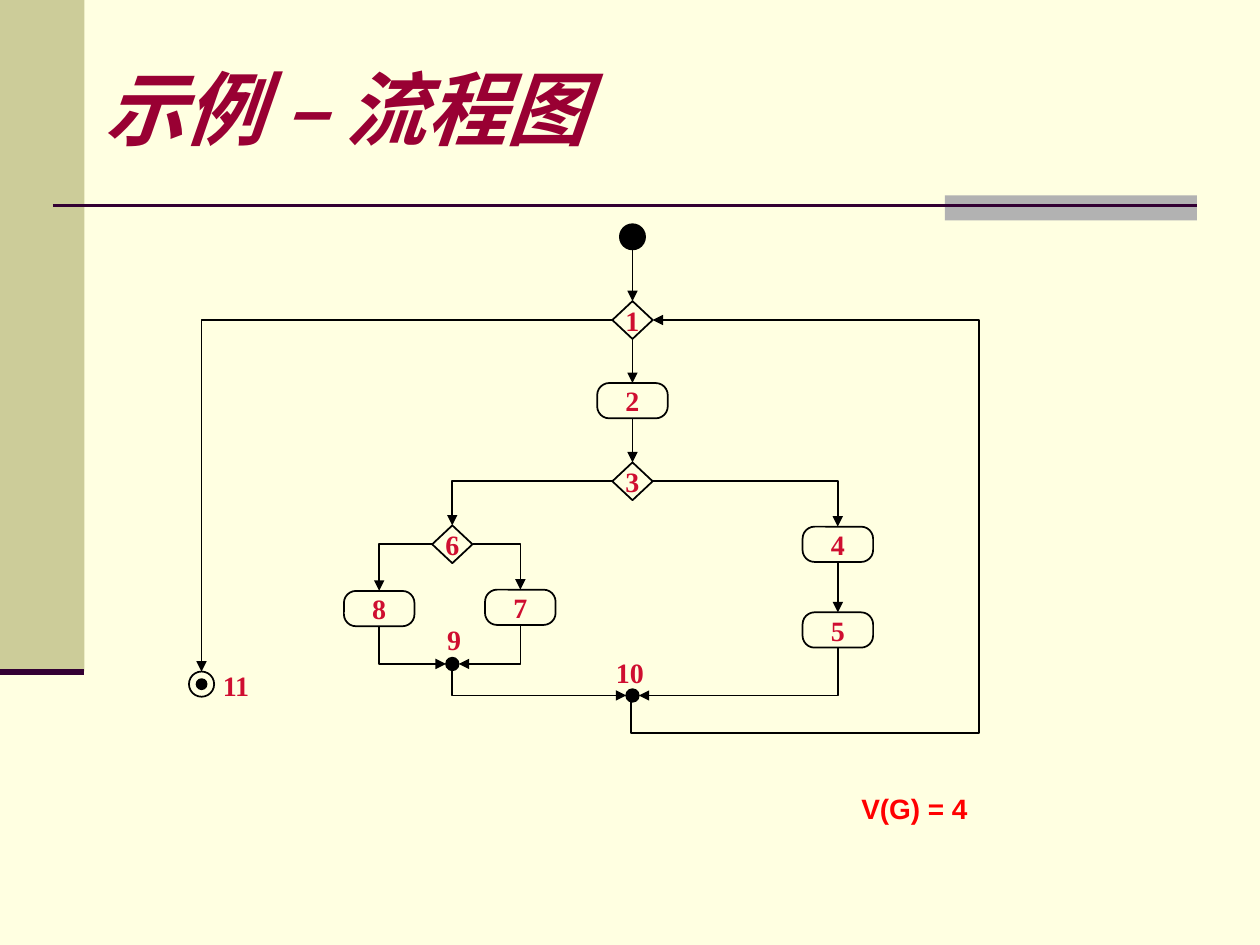
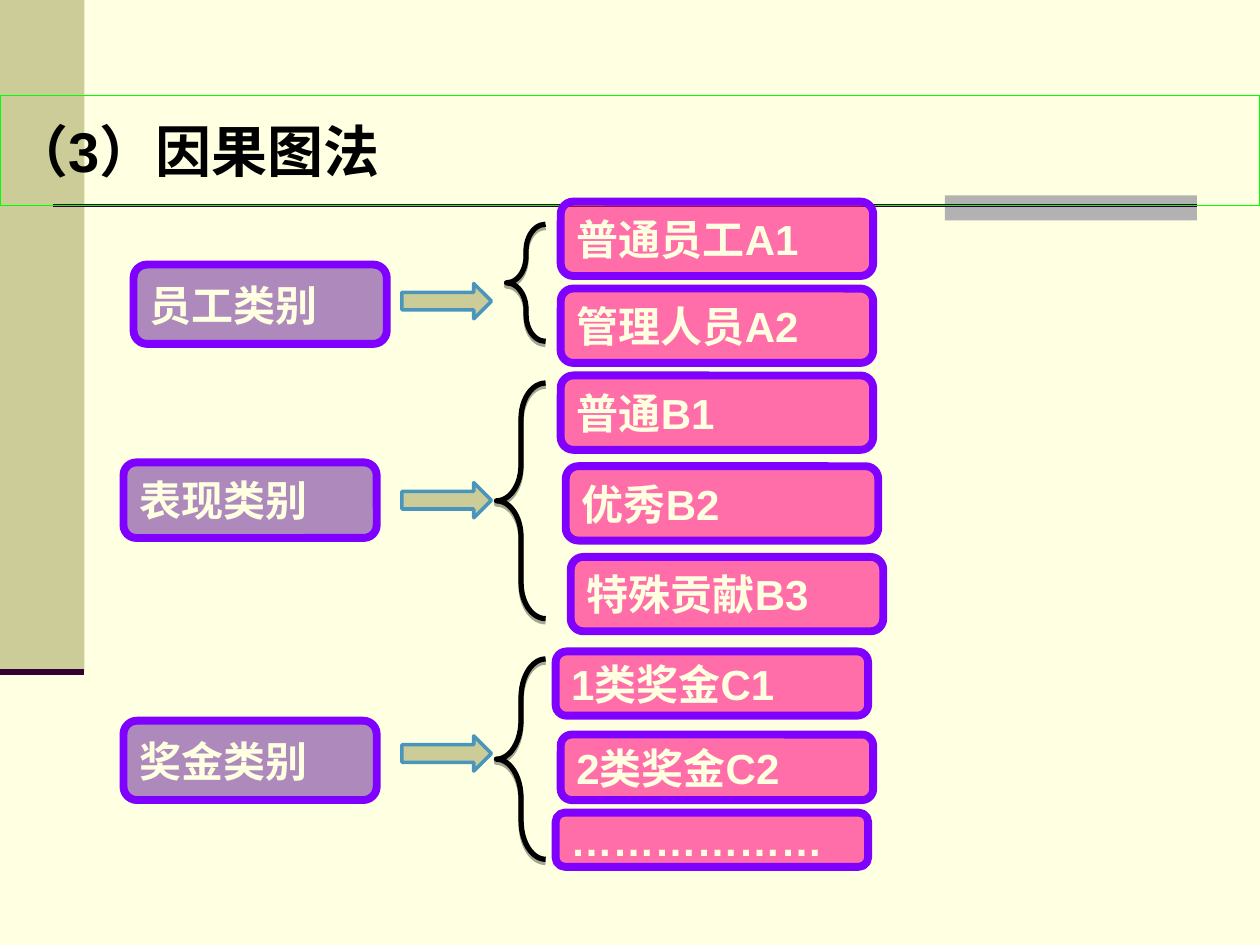
from dataclasses import dataclass
from lxml import etree
from pptx import Presentation
from pptx import util as u
from pptx.dml import color as col
from pptx.enum import shapes as sh, text as tx
from pptx.oxml import ns

INK, CREAM, SAND, PLUM = "000000", "FFFFE1", "CCCC99", "330033"
RED, VIOLET = "CF0E30", "8000FF"
SERIF, SANS = "Times New Roman", "Arial"
KIND = sh.MSO_SHAPE
LEFT, MID = tx.PP_ALIGN.LEFT, tx.PP_ALIGN.CENTER
TOP, WEST, FOOT, EAST = range(4)


@dataclass
class Node:
    key: str
    kind: int
    x: float
    y: float
    wide: float
    high: float
    fill: str | None = None
    label: str = ""


@dataclass
class Link:
    start: str
    out: int
    end: str
    into: int
    tip: str = "tailEnd"
    form: str = "bentConnector2"


@dataclass
class Box:
    words: str
    x: float
    y: float
    high: float


@dataclass
class Group:
    head: Box
    arrow: float
    brace: tuple[float, float, float, float]
    bend: float
    cards: list[Box]


def rgb(code: str) -> col.RGBColor:
    return col.RGBColor.from_string(code)


def add(parent, tag: str, **attrs):
    return etree.SubElement(parent, ns.qn(tag), attrs)


def write(shape, words: str, *, size: float = 16, font: str = SERIF,
          color: str = RED, align=LEFT, anchor=tx.MSO_ANCHOR.TOP,
          wrap: bool = False, inset: tuple = (0.1, 0.05),
          italic: bool = False) -> None:
    frame = shape.text_frame
    frame.auto_size = tx.MSO_AUTO_SIZE.NONE
    frame.word_wrap = wrap
    frame.vertical_anchor = anchor
    frame.margin_left = frame.margin_right = u.Inches(inset[0])
    frame.margin_top = frame.margin_bottom = u.Inches(inset[1])
    para = frame.paragraphs[0]
    para.alignment = align
    run = para.add_run()
    run.text = words
    run.font.name, run.font.size = font, u.Pt(size)
    run.font.bold, run.font.italic = True, italic
    run.font.color.rgb = rgb(color)


def place(shape, x: float, y: float, wide: float, high: float) -> None:
    shape.left, shape.top = u.Inches(x), u.Inches(y)
    shape.width, shape.height = u.Inches(wide), u.Inches(high)


def draw(slide, kind, x: float, y: float, wide: float, high: float, *,
         fill: str | None = None, alpha: int = 100, line: str | None = None,
         weight: float = 1, adj: tuple = ()):
    shape = slide.shapes.add_shape(kind, 0, 0, 0, 0)
    place(shape, x, y, wide, high)
    shape.shadow.inherit = False
    for i, value in enumerate(adj):
        shape.adjustments[i] = value
    if fill:
        shape.fill.solid()
        shape.fill.fore_color.rgb = rgb(fill)
        if alpha < 100:
            tint = shape._element.spPr.find(".//" + ns.qn("a:srgbClr"))
            add(tint, "a:alpha", val=str(alpha * 1000))
    else:
        shape.fill.background()
    if line:
        shape.line.color.rgb = rgb(line)
        shape.line.width = u.Pt(weight)
    else:
        shape.line.fill.background()
    return shape


def wire(slide, kind, ends: tuple = (0, 0, 0, 0), *, color: str = INK,
         weight: float = 1, tip: str = ""):
    line = slide.shapes.add_connector(kind, *map(u.Inches, ends))
    line.line.color.rgb = rgb(color)
    line.line.width = u.Pt(weight)
    if tip:
        add(line._element.spPr.find(ns.qn("a:ln")), "a:" + tip, type="triangle")
    add(line._element.spPr, "a:effectLst")
    return line


def join(slide, link: Link, nodes: dict):
    straight = link.form == "line"
    kind = sh.MSO_CONNECTOR.STRAIGHT if straight else sh.MSO_CONNECTOR.ELBOW
    line = wire(slide, kind, tip=link.tip)
    line.begin_connect(nodes[link.start], link.out)
    line.end_connect(nodes[link.end], link.into)
    line._element.spPr.find(ns.qn("a:prstGeom")).set("prst", link.form)
    for tag, key, side in (("a:stCxn", link.start, link.out),
                           ("a:endCxn", link.end, link.into)):
        if nodes[key].auto_shape_type == KIND.OVAL:
            line._element.find(".//" + ns.qn(tag)).set("idx", str(side * 2))
    return line


def loop(slide, nodes: dict) -> None:
    line = join(slide, Link("10", FOOT, "1", EAST, form="bentConnector4"), nodes)
    place(line, 3.58, 3.97, 3.03, 0.17)
    frame = line._element.spPr.find(ns.qn("a:xfrm"))
    for name, value in (("rot", "5400000"), ("flipH", "1"), ("flipV", "1")):
        frame.set(name, value)
    guides = line._element.spPr.find(ns.qn("a:prstGeom")).find(ns.qn("a:avLst"))
    for name, value in (("adj1", -8200), ("adj2", 1621900)):
        add(guides, "a:gd", name=name, fmla=f"val {value}")


def page(deck):
    slide = deck.slides.add_slide(deck.slide_layouts[5])
    draw(slide, KIND.RECTANGLE, 0, 0, 0.67, 5.33, fill=SAND)
    draw(slide, KIND.RECTANGLE, 7.5, 1.55, 2, 0.2, fill="B2B2B2")
    straight = sh.MSO_CONNECTOR.STRAIGHT
    wire(slide, straight, (0.42, 1.63, 9.5, 1.63), color=PLUM, weight=1.5)
    wire(slide, straight, (0, 5.33, 0.67, 5.33), color=PLUM, weight=3.5)
    slide.shapes._spTree.append(slide.shapes.title._element)
    return slide


def gem(key: str, x: float, y: float) -> Node:
    return Node(key, KIND.DIAMOND, x, y, 0.32, 0.3, CREAM, key)


def step(key: str, x: float, y: float) -> Node:
    return Node(key, KIND.ROUNDED_RECTANGLE, x, y, 0.56, 0.28, None, key)


def dot(key: str, x: float, y: float, size: float, fill: str = INK) -> Node:
    return Node(key, KIND.OVAL, x, y, size, size, fill)


NODES = [
    dot("start", 5.02, 1.88, 0.2), gem("1", 5.02, 2.54), step("2", 5.02, 3.18),
    gem("3", 5.02, 3.82), step("4", 6.65, 4.32), step("5", 6.65, 5),
    gem("6", 3.59, 4.32), step("7", 4.13, 4.82), step("8", 3.01, 4.83),
    dot("9", 3.59, 5.27, 0.1), dot("10", 5.02, 5.52, 0.1),
    dot("11", 1.6, 5.43, 0.2, CREAM), dot("core", 1.6, 5.43, 0.08),
]
LINKS = [
    Link("start", FOOT, "1", TOP, form="line"),
    Link("1", FOOT, "2", TOP, form="line"),
    Link("2", FOOT, "3", TOP, form="line"),
    Link("4", FOOT, "5", TOP, form="line"),
    Link("3", WEST, "6", TOP), Link("3", EAST, "4", TOP),
    Link("6", WEST, "8", TOP), Link("6", EAST, "7", TOP),
    Link("1", WEST, "11", TOP),
    Link("9", WEST, "8", FOOT, "headEnd"),
    Link("9", EAST, "7", FOOT, "headEnd"),
    Link("10", WEST, "9", FOOT, "headEnd"),
    Link("10", EAST, "5", FOOT, "headEnd"),
]
TAGS = [("9", 3.45, 4.89, 0.31), ("10", 4.79, 5.15, 0.42),
        ("11", 1.67, 5.26, 0.42)]
GROUPS = [
    Group(Box("员工类别", 1.06, 2.1, 0.63), 2.25, (4.02, 1.78, 0.31, 0.93), 0.68,
          [Box("普通员工A1", 4.45, 1.6, 0.59), Box("管理人员A2", 4.45, 2.29, 0.59)]),
    Group(Box("表现类别", 0.98, 3.67, 0.6), 3.83, (3.94, 3.04, 0.39, 1.87), 0.73,
          [Box("普通B1", 4.45, 2.98, 0.59), Box("优秀B2", 4.49, 3.7, 0.59),
           Box("特殊贡献B3", 4.53, 4.42, 0.59)]),
    Group(Box("奖金类别", 0.98, 5.72, 0.63), 5.84, (3.94, 5.23, 0.39, 1.59), 0.79,
          [Box("1类奖金C1", 4.41, 5.17, 0.51), Box("2类奖金C2", 4.45, 5.83, 0.52),
           Box("………………", 4.41, 6.45, 0.43)]),
]


def flow(deck) -> None:
    slide = page(deck)
    title = slide.shapes.title
    place(title, 0.83, 0.56, 6.58, 0.58)
    write(title, "示例 – 流程图", size=46, color="990033", wrap=True, italic=True,
          anchor=tx.MSO_ANCHOR.MIDDLE, inset=(0, 0))
    nodes = {}
    for n in NODES:
        adj = (0.34,) if n.kind == KIND.ROUNDED_RECTANGLE else ()
        shape = draw(slide, n.kind, n.x - n.wide / 2, n.y - n.high / 2,
                     n.wide, n.high, fill=n.fill, line=INK, adj=adj)
        if n.label:
            write(shape, n.label, align=MID, anchor=tx.MSO_ANCHOR.MIDDLE)
        nodes[n.key] = shape
    for link in LINKS:
        join(slide, link, nodes)
    loop(slide, nodes)
    for words, x, y, wide in TAGS:
        label = slide.shapes.add_textbox(*map(u.Inches, (x, y, wide, 0.36)))
        write(label, words)
    note = slide.shapes.add_textbox(*map(u.Inches, (6.25, 6.25, 1.5, 0.32)))
    write(note, "V(G) = 4", font=SANS, color="FF0000", wrap=True,
          align=tx.PP_ALIGN.RIGHT, inset=(0.07, 0.03))


def card(slide, box: Box, wide: float, fill: str) -> None:
    shape = draw(slide, KIND.ROUNDED_RECTANGLE, box.x, box.y, wide, box.high,
                 fill=fill, alpha=57, line=VIOLET, weight=4.5, adj=(0.17,))
    write(shape, box.words, size=24, font=SANS, color=CREAM,
          anchor=tx.MSO_ANCHOR.MIDDLE)


def brace(slide, group: Group) -> None:
    shape = draw(slide, KIND.LEFT_BRACE, *group.brace, line=INK, weight=3,
                 adj=(group.bend, 0.5))
    glow = shape._element.spPr.find(ns.qn("a:effectLst"))
    shade = add(glow, "a:outerShdw", blurRad="0", dist=str(int(u.Pt(1.8))),
                dir="5400000", rotWithShape="0")
    add(add(shade, "a:srgbClr", val=INK), "a:alpha", val="35000")


def cause(deck) -> None:
    slide = page(deck)
    title = slide.shapes.title
    place(title, 0, 0.76, 10, 0.87)
    title.line.color.rgb = rgb("00FF00")
    title.line.width = u.Pt(0.75)
    write(title, "（3）因果图法", size=32, font=SANS, color=INK,
          anchor=tx.MSO_ANCHOR.MIDDLE)
    for group in GROUPS:
        card(slide, group.head, 2.01, "7030A0")
        draw(slide, KIND.RIGHT_ARROW, 3.19, group.arrow, 0.71, 0.28, fill=SAND,
             line="4995BC", weight=2)
        brace(slide, group)
        for box in group.cards:
            card(slide, box, 2.48, "FF0080")


def main() -> None:
    deck = Presentation()
    deck.slide_width, deck.slide_height = u.Inches(10), u.Inches(7.5)
    back = deck.slide_master.background.fill
    back.solid()
    back.fore_color.rgb = rgb(CREAM)
    flow(deck)
    cause(deck)
    deck.save("out.pptx")


if __name__ == "__main__":
    main()
